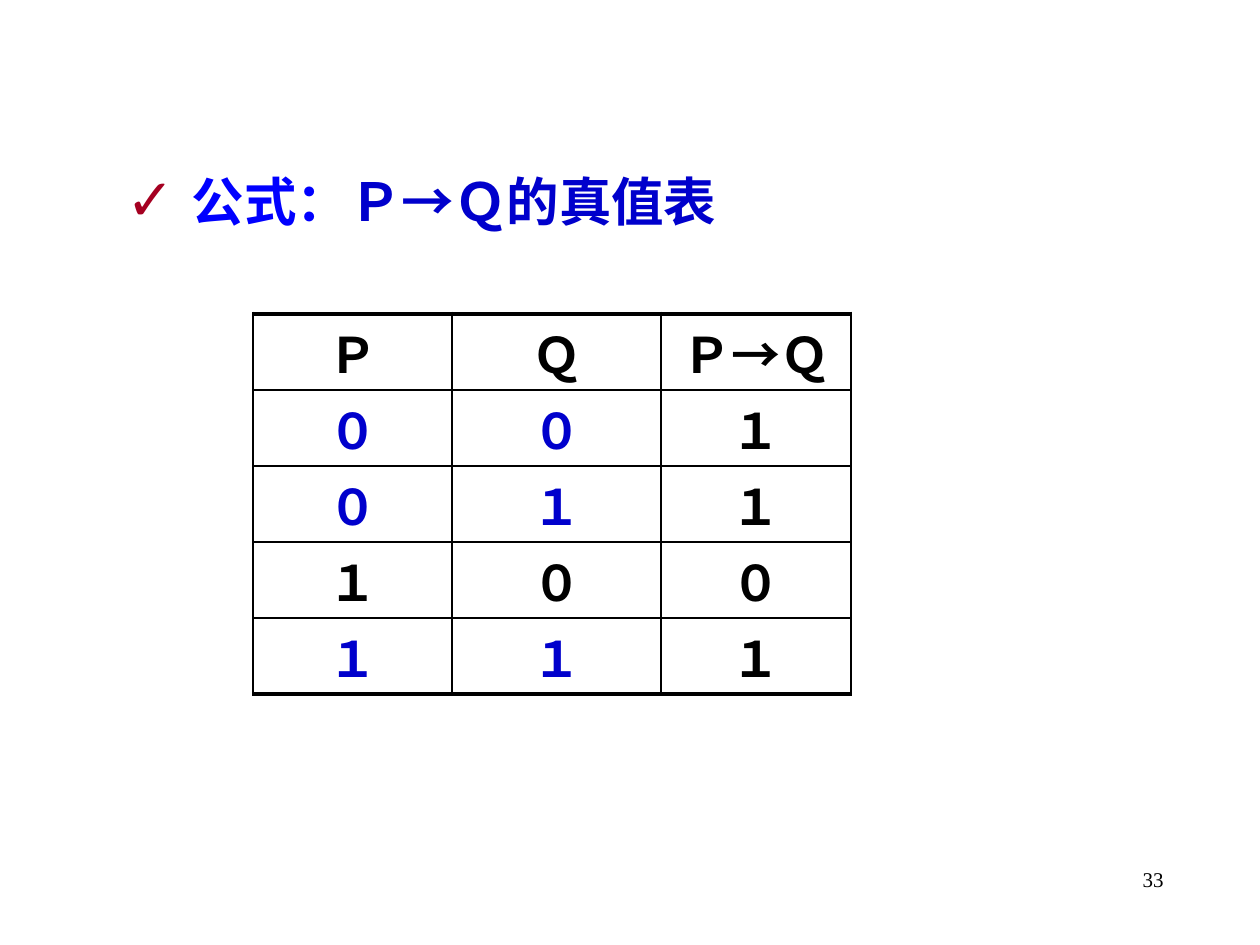
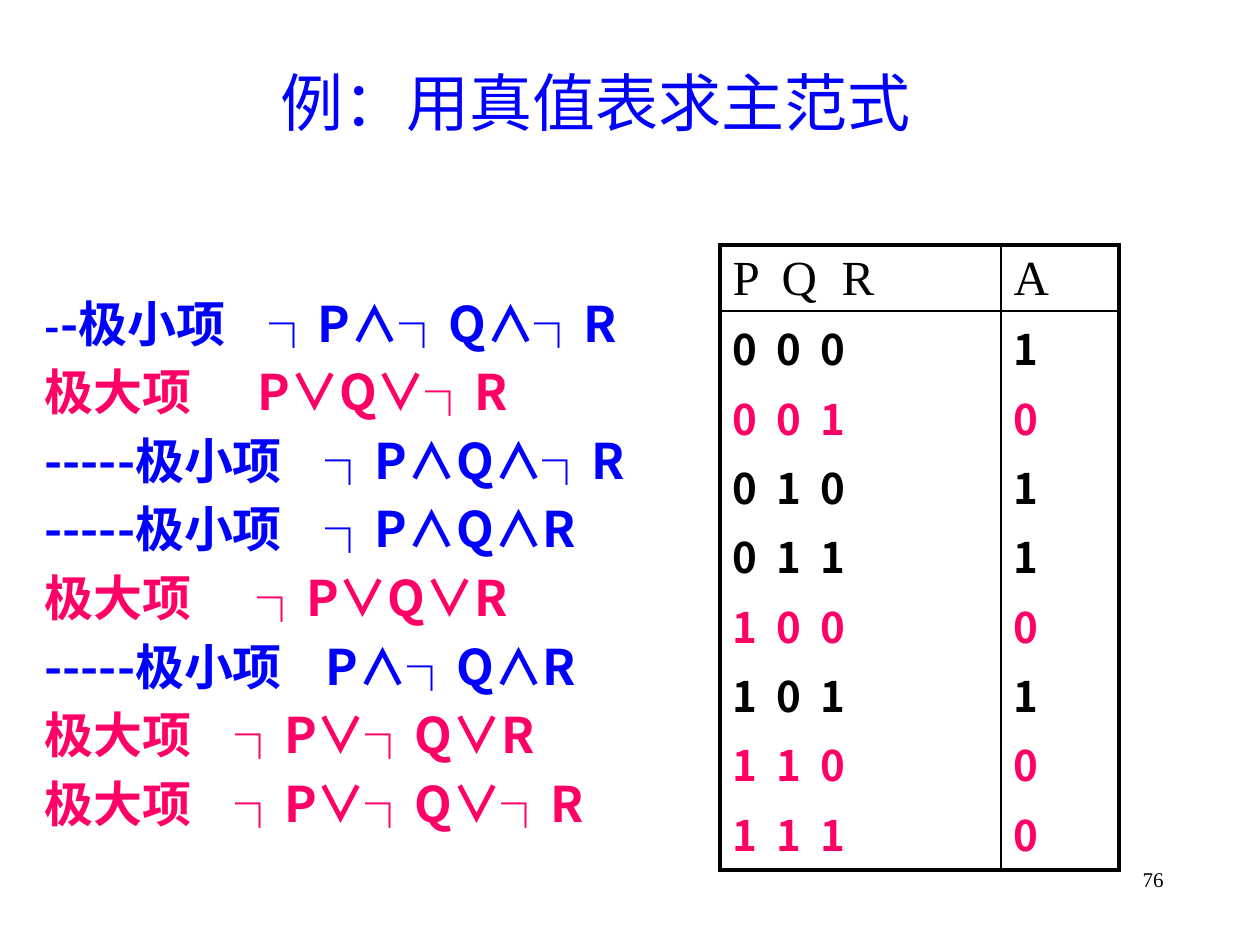
import itertools

import pptx
import pptx.util
import pptx.dml.color
import pptx.enum.text
import pptx.oxml.ns
from lxml import etree

PX = 914400 / 126
HUES = {"ink": "000000", "blue": "0000FF", "navy": "0000CC",
        "pink": "FF0066", "wine": "A50021"}
SANS = "Noto Sans CJK SC"
SERIF = "Times New Roman"
ALIGN = pptx.enum.text.PP_ALIGN
ANCHOR = pptx.enum.text.MSO_ANCHOR


def px(n):
    return pptx.util.Emu(round(n * PX))


def sub(node, tag, **attrs):
    """Append a drawing element with its attributes."""
    kid = etree.SubElement(node, pptx.oxml.ns.qn("a:" + tag))
    for key, val in attrs.items():
        kid.set(key, str(val))
    return kid


def write(para, text, size=28, hue="ink", font=SANS, bold=False, track=0):
    """Add a run of text; track is extra letter spacing in points."""
    run = para.add_run()
    run.text = text
    run.font.size = pptx.util.Pt(size)
    run.font.bold = bold
    run.font.name = font
    run.font.color.rgb = pptx.dml.color.RGBColor.from_string(HUES[hue])
    props = run._r.get_or_add_rPr()
    sub(props, "ea", typeface=SANS)
    if track:
        props.set("spc", str(round(track * 100)))


def space(para, align, line=None, before=0, after=0):
    para.alignment = align
    para.line_spacing = line
    para.space_before = pptx.util.Pt(before)
    para.space_after = pptx.util.Pt(after)


def stops(para, *spots):
    """Set left tab stops, in px from the text edge."""
    tabs = sub(para._p.get_or_add_pPr(), "tabLst")
    for spot in spots:
        sub(tabs, "tab", pos=px(spot), algn="l")


def indent(para, left, mark=None):
    """Set a hanging indent with a check mark, or no bullet at all."""
    props = para._p.get_or_add_pPr()
    props.set("marL", str(px(left)))
    props.set("indent", str(-px(left)))
    if mark:
        sub(sub(props, "buClr"), "srgbClr", val=HUES["wine"])
        sub(props, "buSzPct", val=110000)
        sub(props, "buChar", char=mark)
    else:
        sub(props, "buNone")


def border(cell, widths):
    """Draw the four sides of a cell; widths are in points."""
    props = cell._tc.get_or_add_tcPr()
    for side, width in zip("LRTB", widths):
        line = sub(props, "ln" + side, w=pptx.util.Pt(width))
        sub(sub(line, "solidFill"), "srgbClr", val=HUES["ink"])


class Deck:
    def __init__(self):
        self.prs = pptx.Presentation()
        self.prs.slide_width = px(1260)
        self.prs.slide_height = px(945)
        self.slide = None

    def start(self, number):
        """Open a slide and put its number at the foot."""
        self.slide = self.prs.slides.add_slide(self.prs.slide_layouts[1])
        box = self.slide.shapes.add_textbox(px(903), px(860), px(273), px(66))
        box.text_frame.word_wrap = True
        para = box.text_frame.paragraphs[0]
        para.alignment = ALIGN.RIGHT
        write(para, str(number), size=12, font=SERIF)

    def holder(self, index, x, y, w, h):
        """Move a placeholder and return its text frame."""
        shape = self.slide.placeholders[index]
        shape.left, shape.top, shape.width, shape.height = map(px, (x, y, w, h))
        frame = shape.text_frame
        frame.auto_size = pptx.enum.text.MSO_AUTO_SIZE.NONE
        frame.word_wrap = True
        return frame

    def title(self, text):
        if not text:
            shape = self.slide.shapes.title
            shape._element.getparent().remove(shape._element)
            return
        frame = self.holder(0, 44, 66, 1103, 79)
        frame.vertical_anchor = ANCHOR.BOTTOM
        para = frame.paragraphs[0]
        para.alignment = ALIGN.CENTER
        write(para, text, size=36, hue="blue")

    def body(self, x, y, w, h, count):
        """Return the body's paragraphs, one for each line."""
        frame = self.holder(1, x, y, w, h)
        for _ in range(count - 1):
            frame.add_paragraph()
        return frame.paragraphs

    def table(self, x, y, cols, rows, edges):
        """Add a plain ruled table; edges are left, right, top, bottom."""
        grid = self.slide.shapes.add_table(
            len(rows), len(cols), px(x), px(y), px(sum(cols)), px(sum(rows))).table
        grid.first_row = grid.horz_banding = False
        for col, width in zip(grid.columns, cols):
            col.width = px(width)
        for row, height in zip(grid.rows, rows):
            row.height = px(height)
        for r, c in itertools.product(range(len(rows)), range(len(cols))):
            outer = (c == 0, c == len(cols) - 1, r == 0, r == len(rows) - 1)
            cell = grid.cell(r, c)
            border(cell, [e if out else 1 for e, out in zip(edges, outer)])
            cell.fill.background()
        return grid


def implication(deck):
    deck.start(33)
    deck.title(None)

    # Heading with a check mark
    para, = deck.body(114, 175, 1076, 189, 1)
    space(para, ALIGN.LEFT, line=0.8, before=6, after=6)
    indent(para, 65, mark="✓")
    write(para, "公式：", size=30, hue="blue", bold=True)
    write(para, "Ｐ→Ｑ的真值表", size=30, hue="navy", bold=True)

    # Truth table: false only for 1 → 0
    lines = [("Ｐ", "Ｑ", "Ｐ→Ｑ")]
    for p, q in itertools.product("０１", repeat=2):
        lines.append((p, q, "０" if (p, q) == ("１", "０") else "１"))
    grid = deck.table(253, 314, [199, 209, 190], [76] * 5, (1, 1, 3, 2.25))
    for r, line in enumerate(lines):
        for c, text in enumerate(line):
            cell = grid.cell(r, c)
            cell.vertical_anchor = ANCHOR.MIDDLE
            cell.margin_left = cell.margin_right = px(5)
            cell.margin_top = cell.margin_bottom = px(2)
            para = cell.text_frame.paragraphs[0]
            space(para, ALIGN.CENTER, before=5.6)
            true = r > 0 and c < 2 and line[2] == "１"
            write(para, text, hue="navy" if true else "ink",
                  font=SANS if "→" in text else SERIF, bold=True)


def forms(deck):
    deck.start(76)
    deck.title("例：用真值表求主范式")

    # Terms: label, gap in points, formula
    near, far = 18.8, 31.4
    terms = [("-极小项", near, "┐P∧┐Q∧┐R"),
             ("极大项", far, "P∨Q∨┐R"),
             ("-----极小项", near, "┐P∧Q∧┐R"),
             ("-----极小项", near, "┐P∧Q∧R"),
             ("极大项", far, "┐P∨Q∨R"),
             ("-----极小项", near, "P∧┐Q∧R"),
             ("极大项", near, "┐P∨┐Q∨R"),
             ("极大项", near, "┐P∨┐Q∨┐R")]
    paras = deck.body(32, 277, 1071, 567, len(terms))
    write(paras[0], "-", size=24, hue="blue", bold=True)
    for para, (label, gap, term) in zip(paras, terms):
        space(para, ALIGN.JUSTIFY, line=pptx.util.Pt(39.2))
        indent(para, 0)
        hue = "blue" if "极小" in label else "pink"
        write(para, label, hue=hue, bold=True)
        write(para, " ", hue=hue, bold=True, track=gap)
        write(para, term, hue=hue, bold=True)

    # Truth table with all rows in one cell
    grid = deck.table(720, 245, [281, 118], [66, 559], (2.25,) * 4)
    for c, text in enumerate(("P\tQ\tR", "A")):
        cell = grid.cell(0, c)
        cell.margin_bottom = 0
        para = cell.text_frame.paragraphs[0]
        space(para, ALIGN.LEFT, before=5.6)
        stops(para, 49, 109)
        write(para, text, font=SERIF)
    bits = ["\t".join(b) for b in itertools.product("01", repeat=3)]
    values = "10110100"
    for c, texts in enumerate((bits, values)):
        frame = grid.cell(1, c).text_frame
        for i, (text, value) in enumerate(zip(texts, values)):
            para = frame.add_paragraph() if i else frame.paragraphs[0]
            space(para, ALIGN.JUSTIFY, before=4.8)
            stops(para, 44, 88)
            write(para, text, size=24, bold=True,
                  hue="ink" if value == "1" else "pink")


def main():
    deck = Deck()
    implication(deck)
    forms(deck)
    deck.prs.save("out.pptx")


if __name__ == "__main__":
    main()
